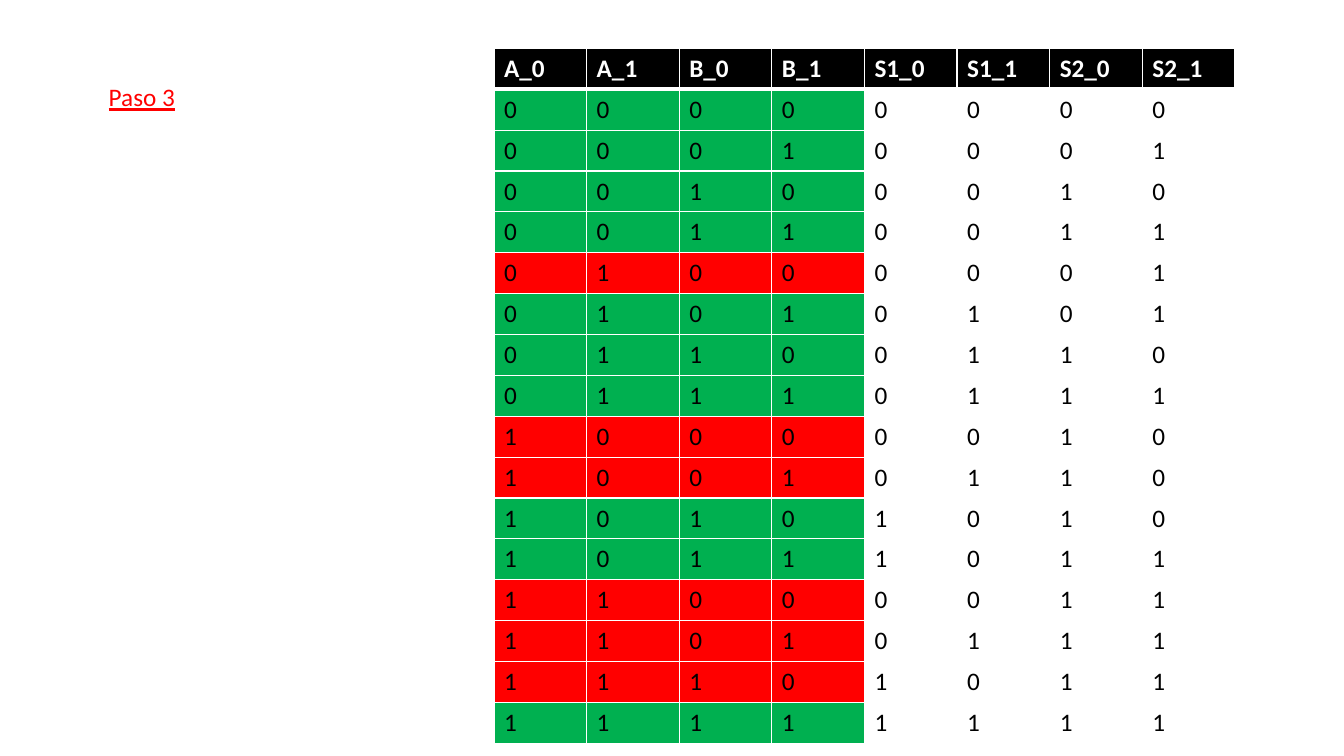
from lxml.etree import SubElement
from pptx import Presentation
from pptx.dml.color import RGBColor
from pptx.oxml.ns import qn
from pptx.util import Inches, Pt

STEP = "Paso 3"
SIGNALS = ["A_0", "A_1", "B_0", "B_1", "S1_0", "S1_1", "S2_0", "S2_1"]
# Input bits A, B and output bits S1, S2
TRUTH_ROWS = [
    ("0000", "0000"),
    ("0001", "0001"),
    ("0010", "0010"),
    ("0011", "0011"),
    ("0100", "0001"),
    ("0101", "0101"),
    ("0110", "0110"),
    ("0111", "0111"),
    ("1000", "0010"),
    ("1001", "0110"),
    ("1010", "1010"),
    ("1011", "1011"),
    ("1100", "0011"),
    ("1101", "0111"),
    ("1110", "1011"),
    ("1111", "1111"),
]

BLACK = RGBColor(0, 0, 0)
WHITE = RGBColor(255, 255, 255)
GREEN = RGBColor(0, 176, 80)
RED = RGBColor(255, 0, 0)


def write(frame, text, color=BLACK, bold=False, underline=False):
    run = frame.paragraphs[0].add_run()
    run.text = text
    font = run.font
    font.name, font.size = "Calibri", Pt(18)
    font.bold, font.underline = bold, underline
    font.color.rgb = color


def set_borders(cell, top, bottom):
    """Draw white borders; top and bottom are widths in points."""
    properties = cell._tc.get_or_add_tcPr()
    for side, width in (("L", 1), ("R", 1), ("T", top), ("B", bottom)):
        line = SubElement(properties, qn(f"a:ln{side}"), w=str(Pt(width)))
        fill = SubElement(line, qn("a:solidFill"))
        SubElement(fill, qn("a:srgbClr"), val=str(WHITE))


def fill_cell(cell, text, fill, top=1, bottom=1, **text_format):
    set_borders(cell, top, bottom)
    cell.fill.solid()
    cell.fill.fore_color.rgb = fill
    write(cell.text_frame, text, **text_format)


def add_truth_table(slide):
    table = slide.shapes.add_table(
        len(TRUTH_ROWS) + 1, len(SIGNALS),
        Inches(4.9), Inches(0.48), Inches(7.35), Inches(6.89)).table
    for column, signal in enumerate(SIGNALS):
        fill_cell(table.cell(0, column), signal, BLACK, bottom=3, color=WHITE, bold=True)
    for row, (inputs, outputs) in enumerate(TRUTH_ROWS, start=1):
        # Green inputs pass through unchanged, red inputs get swapped
        input_fill = GREEN if inputs == outputs else RED
        for column, bit in enumerate(inputs + outputs):
            fill = input_fill if column < len(inputs) else WHITE
            fill_cell(table.cell(row, column), bit, fill, top=3 if row == 1 else 1)


def main():
    deck = Presentation()
    deck.slide_width, deck.slide_height = Inches(13.33), Inches(7.5)
    slide = deck.slides.add_slide(deck.slide_layouts[6])
    add_truth_table(slide)
    step_label = slide.shapes.add_textbox(Inches(0.98), Inches(0.76), Inches(0.98), Inches(0.4))
    step_label.text_frame.word_wrap = True
    write(step_label.text_frame, STEP, color=RED, underline=True)
    deck.save("out.pptx")


if __name__ == "__main__":
    main()
